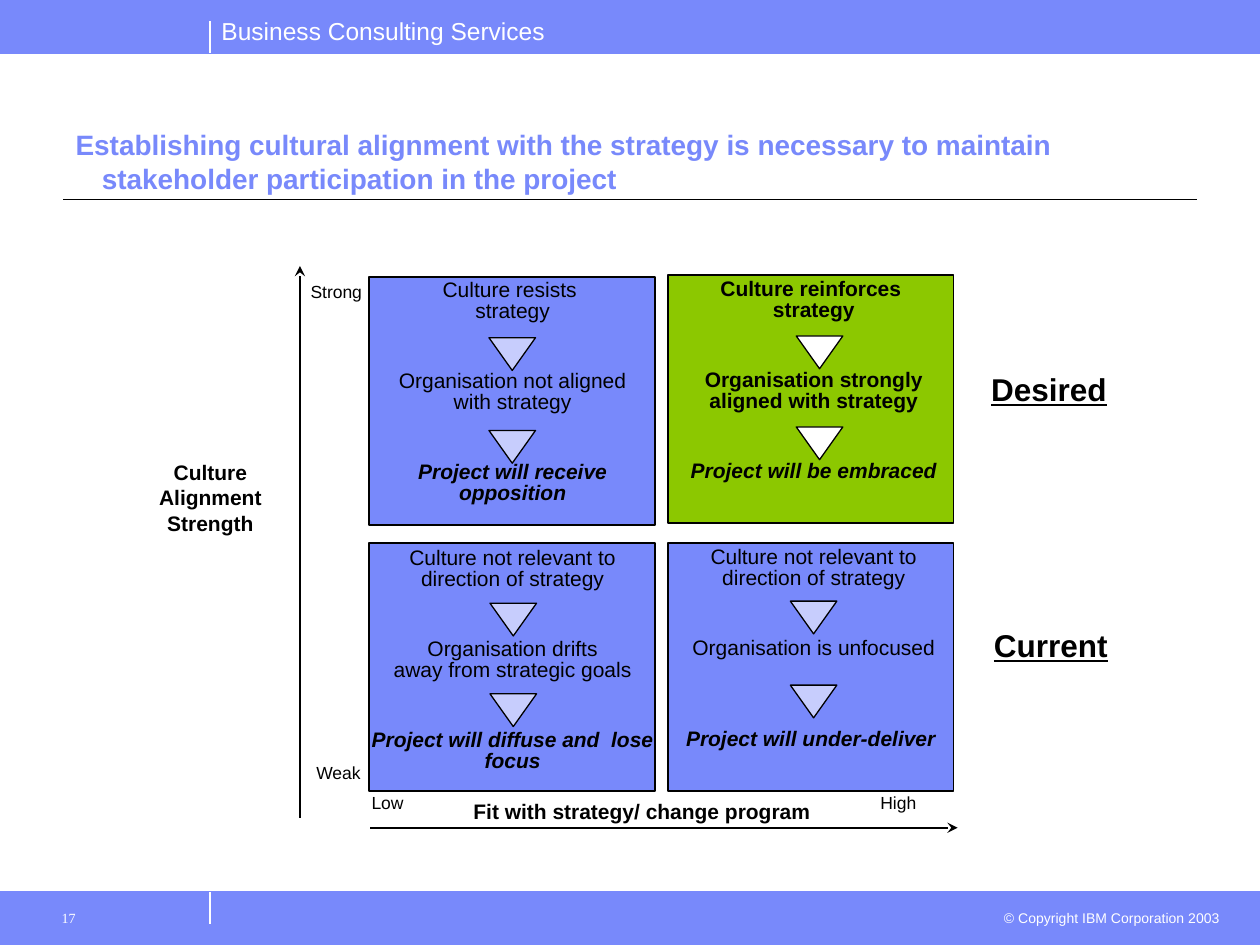
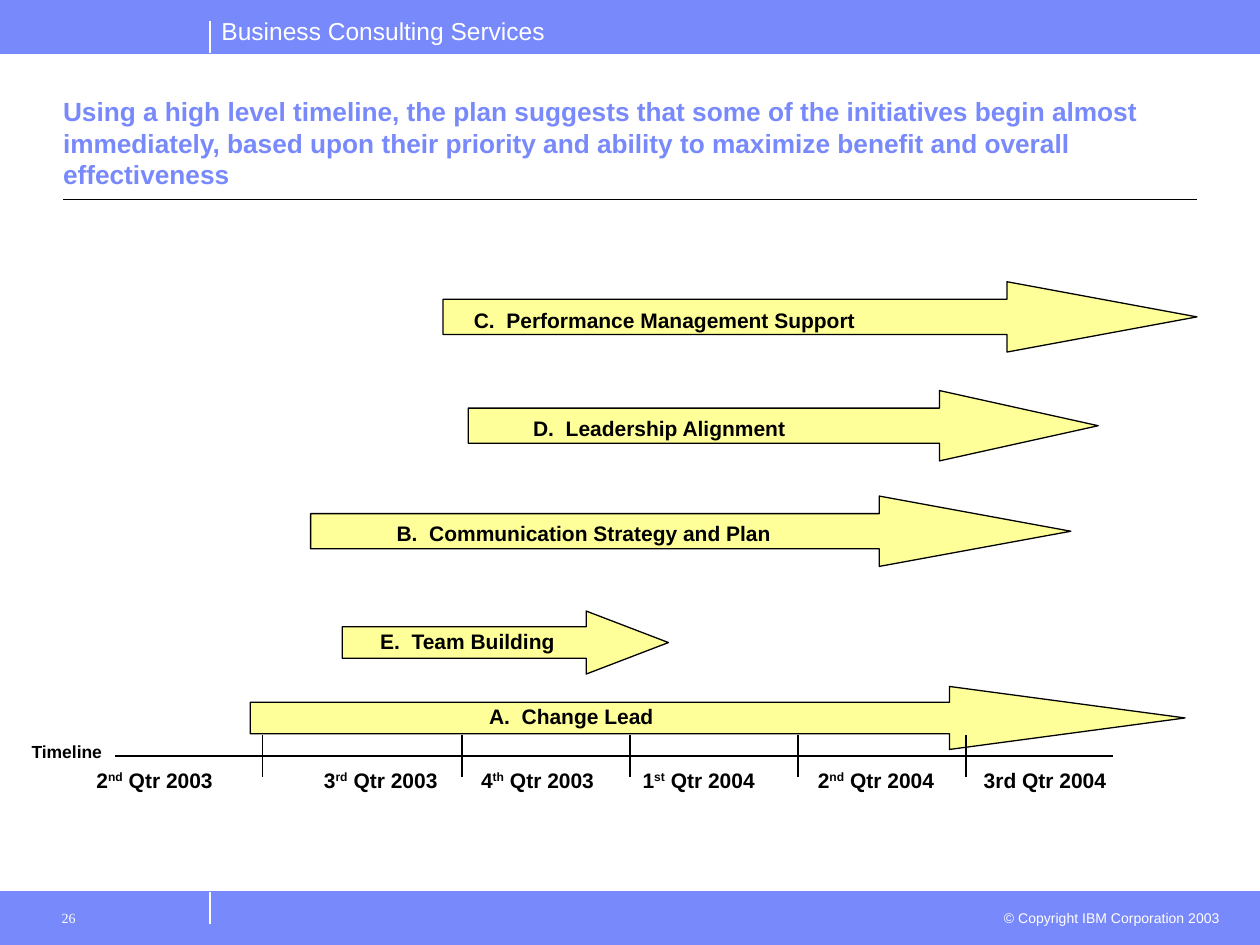
"""Build two consulting slides: a culture and strategy matrix and an initiative timeline."""
import pptx
import pptx.dml.color
import pptx.enum.shapes
import pptx.enum.text
import pptx.oxml
import pptx.oxml.ns
import pptx.util

Pt = pptx.util.Pt
SHAPE = pptx.enum.shapes.MSO_SHAPE
ALIGN = pptx.enum.text.PP_ALIGN
ANCHOR = pptx.enum.text.MSO_ANCHOR

WIDTH, HEIGHT, BAND = 720, 540, 30.24
BLUE, GREEN, PALE, YELLOW = "7889FB", "8CC800", "C7CDFD", "FFFF99"
WHITE, BLACK = "FFFFFF", "000000"

HEADER = "Business Consulting Services"
COPYRIGHT = "© Copyright IBM Corporation 2003"

MATRIX_TITLE = ("Establishing cultural alignment with the strategy is necessary "
                "to maintain stakeholder participation in the project")
QUADRANT_SIZE = (163.4, 141.8)
MARKER_SIZE = (26.6, 18.7)
QUADRANTS = [
    dict(corner=(211, 158.4), fill=BLUE, text_at=(205.2, 157), bold=False,
         marker=PALE, marker_x=279.4, marker_tops=(193, 246),
         steps=["Culture resists \nstrategy",
                "Organisation not aligned\nwith strategy",
                "Project will receive opposition"]),
    dict(corner=(381.6, 157), fill=GREEN, text_at=(377.3, 156.2), bold=True,
         marker=WHITE, marker_x=455, marker_tops=(192, 244),
         steps=["Culture reinforces \nstrategy",
                "Organisation strongly aligned with strategy",
                "Project will be embraced"]),
    dict(corner=(211, 310.3), fill=BLUE, text_at=(205.2, 310.3), bold=False,
         marker=PALE, marker_x=280, marker_tops=(344.7, 396.5),
         steps=["Culture not relevant to direction of strategy",
                "Organisation drifts\naway from strategic goals",
                "Project will diffuse and  lose focus"]),
    dict(corner=(381.6, 310.3), fill=BLUE, text_at=(377.3, 309.6), bold=False,
         marker=PALE, marker_x=451.6, marker_tops=(343.5, 391.5),
         steps=["Culture not relevant to direction of strategy",
                "Organisation is unfocused\n",
                "Project will under-deliver "]),
]
AXES = [((211.7, 473), (547.2, 473)), ((171.4, 467.3), (171.4, 152))]
AXIS_ENDS = [
    ("Low", (205.2, 449.3, 32.4, 18.7), ALIGN.LEFT),
    ("High", (496, 449.3, 34.6, 18.7), ALIGN.LEFT),
    ("Weak", (173.5, 432, 39.6, 18.7), ALIGN.RIGHT),
    ("Strong", (170, 157, 43.9, 18.7), ALIGN.RIGHT),
]
AXIS_NAMES = [
    ("Culture Alignment Strength", (78.5, 259.2, 83.5, 50.4)),
    ("Fit with strategy/ change program", (252, 452.9, 229.7, 21.6)),
]
STATES = [("Desired", (559.4, 208, 80, 28.8)), ("Current", (560.9, 354.2, 79.2, 28.8))]

TIMELINE_TITLE = ("Using a high level timeline, the plan suggests that some of the "
                  "initiatives begin almost immediately, based upon their priority "
                  "and ability to maximize benefit and overall effectiveness")
INITIATIVES = [
    ("C.  Performance Management Support", (253.2, 161, 430.8, 40.2), (263.5, 172, 232.6)),
    ("D.  Leadership Alignment ", (267.6, 223.2, 360, 40.2), (297.4, 233.9, 162)),
    ("B.  Communication Strategy and Plan", (177.5, 283.5, 434.4, 40.2), (219.6, 293.8, 228.2)),
    ("E.  Team Building", (195.6, 349.2, 186.4, 36), (200.9, 355.7, 132.5)),
    ("A.  Change Lead", (143, 392.3, 534.2, 36), (270, 398.2, 113)),
]
HEAD_SHARE = 0.252
AXIS_Y, TICK_REACH = 432, 12
TICKS = [150, 264, 360, 456, 552]
QUARTERS = [("2^nd^ Qtr 2003", 88.4), ("3^rd^ Qtr 2003", 217.6), ("4^th^ Qtr 2003", 307.2),
            ("1^st^ Qtr 2004", 399.3), ("2^nd^ Qtr 2004", 500.6), ("3rd Qtr 2004", 597.2)]
QUARTER_WIDTH = 80


def rgb(colour):
    """Turn a hex string into a colour."""
    return pptx.dml.color.RGBColor.from_string(colour)


def write(frame, *texts, size=12, colour=BLACK, font="Arial", bold=False, italic_last=False,
          underline=False, align=ALIGN.LEFT, anchor=ANCHOR.TOP, wrap=True,
          line=None, after=None, side=7.2):
    """Fill a text frame, one paragraph per text, with ^marks^ around superscripts."""
    frame.word_wrap = wrap
    frame.auto_size = pptx.enum.text.MSO_AUTO_SIZE.NONE
    frame.vertical_anchor = anchor
    frame.margin_left = frame.margin_right = Pt(side)
    frame.margin_top = frame.margin_bottom = Pt(3.6)
    for index, text in enumerate(texts):
        paragraph = frame.add_paragraph() if index else frame.paragraphs[0]
        paragraph.alignment = align
        if line:
            paragraph.line_spacing = Pt(line)
        if after:
            paragraph.space_after = Pt(after)
        last = italic_last and index == len(texts) - 1
        for row, row_text in enumerate(text.split("\n")):
            if row:
                paragraph.add_line_break()
            for part, piece in enumerate(row_text.split("^")):
                if not piece:
                    continue
                run = paragraph.add_run()
                run.text = piece
                run.font.size, run.font.name = Pt(size), font
                run.font.bold, run.font.italic = bold or last, last
                run.font.underline = underline
                run.font.color.rgb = rgb(colour)
                if part % 2:
                    run.font._element.set("baseline", "30000")


def add_label(slide, box, *texts, **form):
    """Add a text box at left, top, width, height."""
    write(slide.shapes.add_textbox(*map(Pt, box)).text_frame, *texts, **form)


def add_block(slide, kind, box, fill, line=BLACK, weight=0.75):
    """Add a filled and outlined preset shape."""
    block = slide.shapes.add_shape(kind, *map(Pt, box))
    block.shadow.inherit = False
    block.fill.solid()
    block.fill.fore_color.rgb = rgb(fill)
    block.line.color.rgb = rgb(line)
    block.line.width = Pt(weight)
    return block


def add_rule(slide, start, end, colour=BLACK, weight=0.75, arrow=False):
    """Add a straight line, with an arrowhead at its end on request."""
    rule = slide.shapes.add_connector(pptx.enum.shapes.MSO_CONNECTOR.STRAIGHT,
                                      *map(Pt, (*start, *end)))
    rule.line.color.rgb = rgb(colour)
    rule.line.width = Pt(weight)
    properties = rule._element.spPr
    if arrow:
        head = pptx.oxml.parse_xml(f'<a:tailEnd {pptx.oxml.ns.nsdecls("a")} type="stealth"/>')
        rule.line._get_or_add_ln().append(head)
    properties.append(pptx.oxml.parse_xml(f'<a:effectLst {pptx.oxml.ns.nsdecls("a")}/>'))


def add_framed_slide(deck, number, title, top, **form):
    """Add a slide with the shared bands, footer, page number and title."""
    slide = deck.slides.add_slide(deck.slide_layouts[5])
    for band_top, edge, mark in ((HEIGHT - BAND, HEIGHT - BAND, 528), (0, BAND, 12)):
        add_block(slide, SHAPE.RECTANGLE, (0, band_top, WIDTH, BAND), BLUE, BLUE)
        add_rule(slide, (0, edge), (WIDTH, edge), BLUE, 0.5)
        add_rule(slide, (120, edge), (120, mark), WHITE)
    add_label(slide, (119.5, 5.8, 199.4, 24.5), HEADER, size=14, colour=WHITE, wrap=False)
    add_label(slide, (563.8, 516.2, 140.4, 17.3), COPYRIGHT, size=8, colour=WHITE,
              align=ALIGN.RIGHT)
    add_label(slide, (28.1, 516.2, 90, 20), number, size=8, colour=WHITE,
              font="Times New Roman")
    add_rule(slide, (36, 114), (684, 114))
    heading = slide.shapes.title
    heading.left, heading.top, heading.width, heading.height = map(Pt, (36, top, 648, 66.2))
    write(heading.text_frame, title, colour=BLUE, bold=True, **form)
    return slide


def build_matrix(deck):
    """Build the culture and strategy matrix."""
    slide = add_framed_slide(deck, "17", MATRIX_TITLE, 59, size=16, anchor=ANCHOR.MIDDLE)
    hanging = slide.shapes.title.text_frame.paragraphs[0]._p.get_or_add_pPr()
    hanging.set("marL", str(Pt(15)))
    hanging.set("indent", str(-Pt(15)))
    for quadrant in QUADRANTS:
        add_block(slide, SHAPE.RECTANGLE, (*quadrant["corner"], *QUADRANT_SIZE),
                  quadrant["fill"], weight=1)
    for quadrant in QUADRANTS:
        add_label(slide, (*quadrant["text_at"], 175.5, 134.6), *quadrant["steps"],
                  bold=quadrant["bold"], italic_last=True, align=ALIGN.CENTER,
                  line=12, after=28)
        for top in quadrant["marker_tops"]:
            marker = add_block(slide, SHAPE.ISOSCELES_TRIANGLE,
                               (quadrant["marker_x"], top, *MARKER_SIZE), quadrant["marker"])
            marker.rotation = 180
    for start, end in AXES:
        add_rule(slide, start, end, weight=1, arrow=True)
    for name, box, align in AXIS_ENDS:
        add_label(slide, box, name, size=10, align=align, wrap=False)
    for name, box in AXIS_NAMES:
        add_label(slide, box, name, bold=True, align=ALIGN.CENTER)
    for name, box in STATES:
        add_label(slide, box, name, size=18, bold=True, underline=True,
                  align=ALIGN.CENTER, wrap=False)


def build_timeline(deck):
    """Build the initiative timeline."""
    slide = add_framed_slide(deck, "26", TIMELINE_TITLE, 46, size=15,
                             anchor=ANCHOR.BOTTOM, side=0)
    for name, (left, top, width, height), (label_x, label_y, label_width) in INITIATIVES:
        arrow = add_block(slide, SHAPE.RIGHT_ARROW, (left, top, width, height), YELLOW)
        arrow.adjustments[1] = HEAD_SHARE * width / height
        add_label(slide, (label_x, label_y, label_width, 21.6), name, bold=True,
                  align=ALIGN.CENTER, wrap=False)
    add_rule(slide, (66, AXIS_Y), (636, AXIS_Y), weight=1)
    add_label(slide, (10.8, 419.8, 54.7, 19.4), "Timeline", size=10, bold=True,
              align=ALIGN.CENTER, wrap=False)
    for x in TICKS:
        add_rule(slide, (x, AXIS_Y - TICK_REACH), (x, AXIS_Y + TICK_REACH))
    for name, centre in QUARTERS:
        add_label(slide, (centre - QUARTER_WIDTH / 2, 434.9, QUARTER_WIDTH, 21.6), name,
                  bold=True, align=ALIGN.CENTER, wrap=False)


def main():
    """Build and save the deck."""
    deck = pptx.Presentation()
    deck.slide_width, deck.slide_height = Pt(WIDTH), Pt(HEIGHT)
    build_matrix(deck)
    build_timeline(deck)
    deck.save("out.pptx")


if __name__ == "__main__":
    main()
